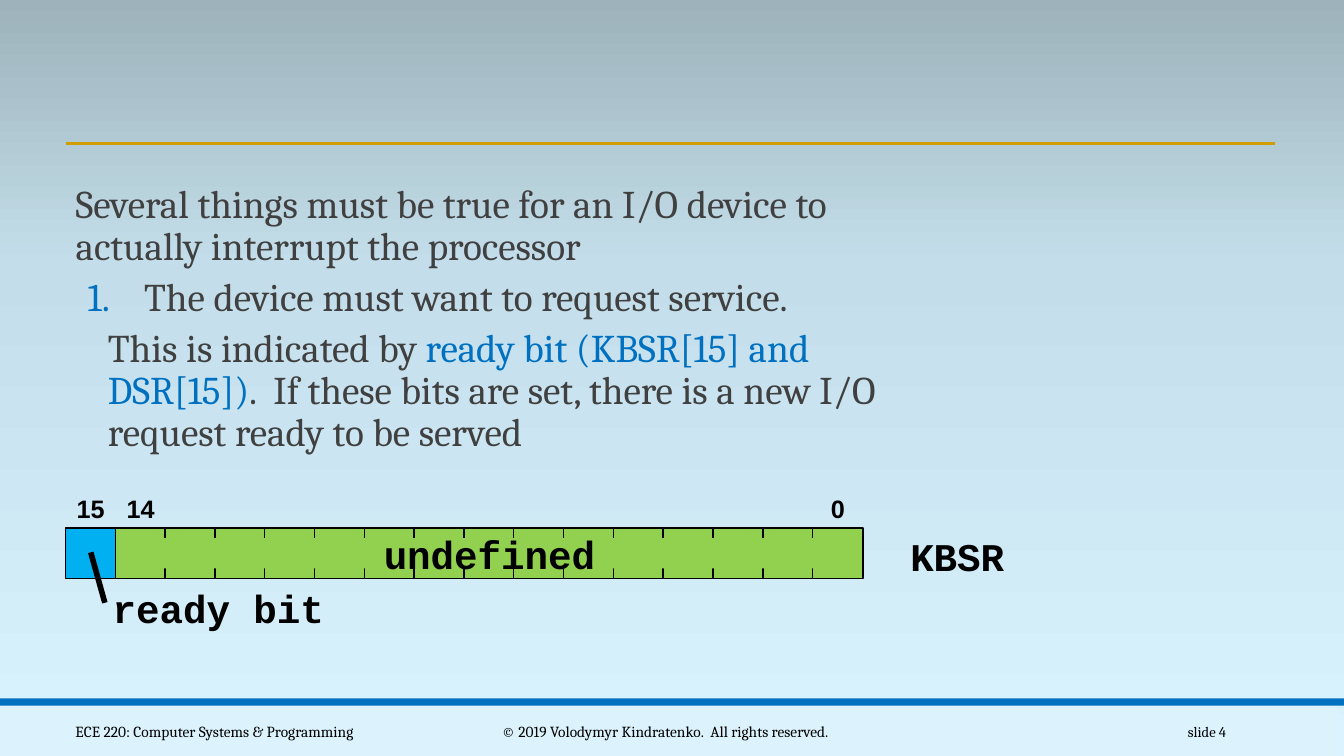
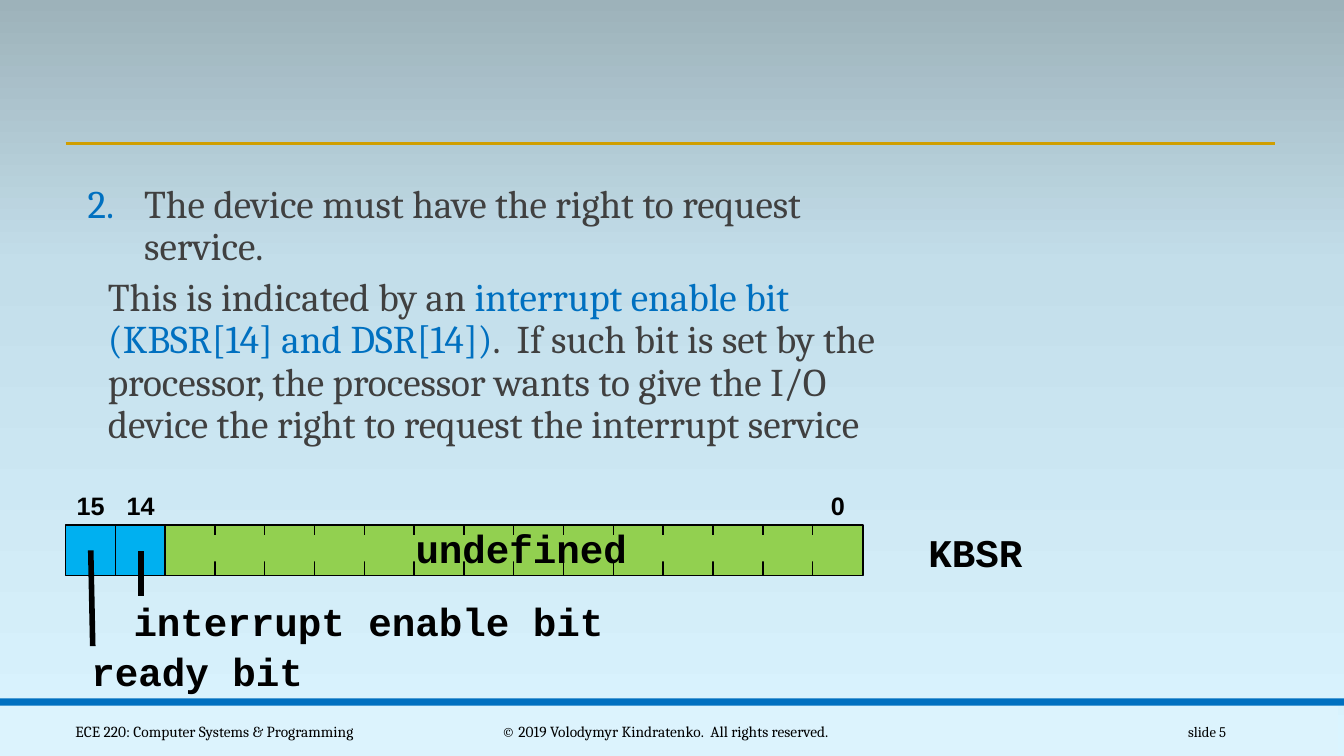
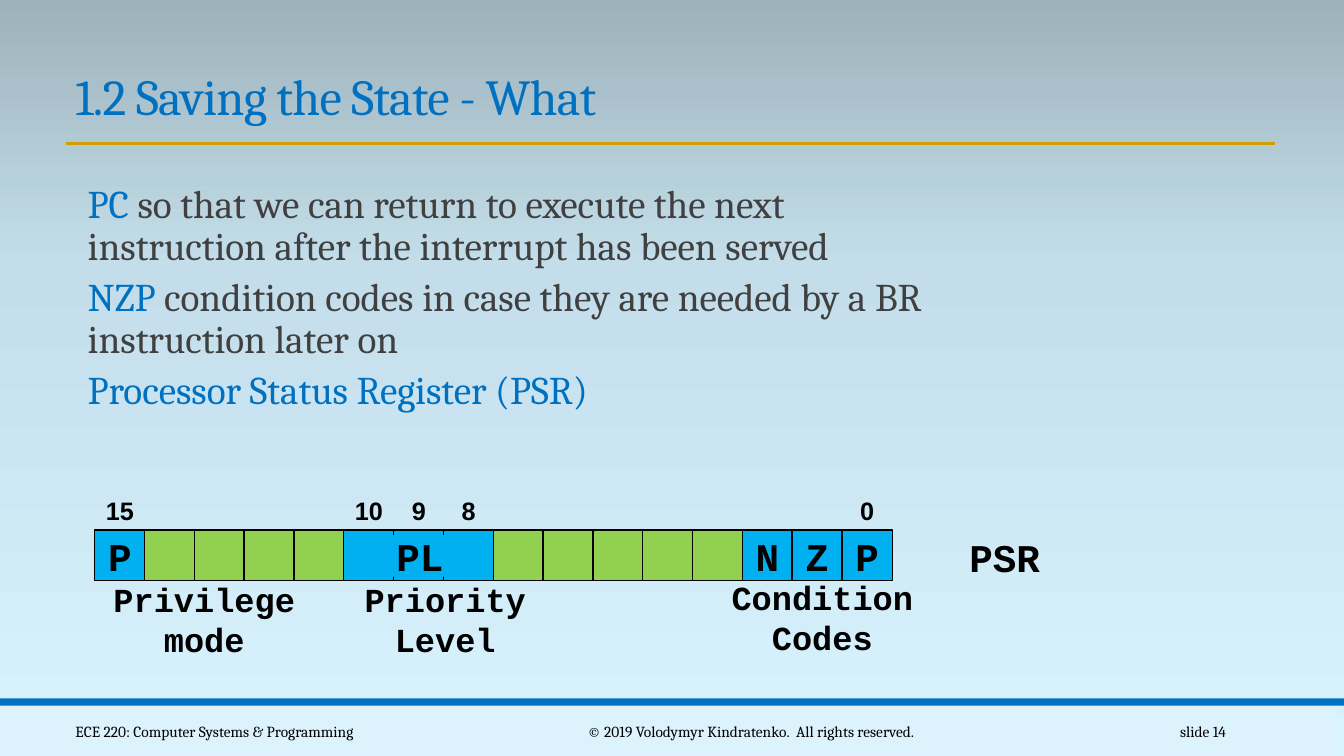
from copy import deepcopy

from lxml import etree
from pptx import Presentation
from pptx.dml.color import RGBColor
from pptx.enum import shapes, text
from pptx.oxml.ns import qn
from pptx.util import Inches, Pt

HUES = {
    "blue": "0070C0", "gold": "D09E00", "band": "DCF3FD", "grey": "404040",
    "black": "000000", "green": "92D050", "cyan": "00B0F0",
    "low": "DAF4FF", "mid": "C3DEEA", "high": "9DB2BA",
}
SERIF, SANS, MONO = "Cambria", "Arial", "Courier New"
LEFT, MID, RIGHT = text.PP_ALIGN.LEFT, text.PP_ALIGN.CENTER, text.PP_ALIGN.RIGHT
TOP, CENTRE, BASE = (text.MSO_ANCHOR.TOP, text.MSO_ANCHOR.MIDDLE,
                     text.MSO_ANCHOR.BOTTOM)
CELL = 0.5
PITCH = 7.41 / 15


def hue(name):
    return RGBColor.from_string(HUES[name])


def style(run, size, font, colour="black", bold=False):
    run.font.size = Pt(size)
    run.font.name = font
    run.font.bold = bold
    run.font.color.rgb = hue(colour)


def inset(frame, side, end):
    frame.margin_left = frame.margin_right = Inches(side)
    frame.margin_top = frame.margin_bottom = Inches(end)


def write(frame, words, size, font, colour="black", bold=False, align=MID,
          anchor=CENTRE, side=0, end=0):
    """Put one styled paragraph in a frame and return it."""
    frame.word_wrap = True
    frame.vertical_anchor = anchor
    inset(frame, side, end)
    frame.text = words
    para = frame.paragraphs[0]
    para.alignment = align
    style(para.runs[0], size, font, colour, bold)
    return para


def frame_at(slide, box):
    return slide.shapes.add_textbox(*map(Inches, box)).text_frame


def rect(slide, box, fill, edge=False):
    shape = slide.shapes.add_shape(shapes.MSO_SHAPE.RECTANGLE,
                                   *map(Inches, box))
    shape.shadow.inherit = False
    shape.fill.solid()
    shape.fill.fore_color.rgb = hue(fill)
    if edge:
        shape.line.color.rgb = hue("black")
        shape.line.width = Pt(1)
    else:
        shape.line.fill.background()
    return shape


def line(slide, ends, colour, width):
    link = slide.shapes.add_connector(shapes.MSO_CONNECTOR.STRAIGHT,
                                      *map(Inches, ends))
    link.line.color.rgb = hue(colour)
    link.line.width = Pt(width)
    etree.SubElement(link.element.spPr, qn("a:effectLst"))


def paint(master):
    """Give every slide the upward three-stop gradient."""
    fill = master.background.fill
    fill.gradient()
    fill.gradient_angle = 90
    stops = master.element.xpath(".//p:bg//a:gsLst")[0]
    stops.append(deepcopy(stops[-1]))
    tones = (("low", 0), ("mid", 0.65), ("high", 1))
    for stop, (tone, place) in zip(fill.gradient_stops, tones):
        stop.color.rgb = hue(tone)
        stop.position = place


def start(deck, number, align=MID, size=10.5):
    """Add a slide with its bands, rule and footer."""
    slide = deck.slides.add_slide(deck.slide_layouts[6])
    rect(slide, (-0.06, 7, 13.33, 0.5), "band")
    rect(slide, (0, 6.93, 13.33, 0.07), "blue")
    line(slide, (0.65, 1.42, 12.65, 1.42), "gold", 2)
    feet = (
        (0.65, 3.25, "ECE 220: Computer Systems & Programming", 11, LEFT),
        (4.03, 5.14, "© 2019 Volodymyr Kindratenko.  All rights reserved.",
         11, align),
        (10.83, 1.43, f"slide {number}", size, RIGHT),
    )
    for left, width, words, points, side in feet:
        write(frame_at(slide, (left, 7.06, width, 0.4)), words, points, SERIF,
              align=side, side=0.1, end=0.05)
    return slide


def title(slide, words):
    para = write(frame_at(slide, (0.65, 0.59, 12.01, 0.71)), words, 36, SERIF,
                 "blue", align=LEFT, anchor=BASE, side=0.1, end=0.05)
    para.line_spacing = 0.85
    para.runs[0].font._element.set("spc", "-50")


def count(props, first):
    """Number a paragraph in blue, beginning at first."""
    tint = etree.SubElement(props, qn("a:buClr"))
    etree.SubElement(tint, qn("a:srgbClr")).set("val", HUES["blue"])
    mark = etree.SubElement(props, qn("a:buAutoNum"))
    mark.set("type", "arabicPeriod")
    mark.set("startAt", str(first))


def body(slide, rows):
    """Rows are (indent, number or None, runs); odd runs are blue."""
    frame = frame_at(slide, (0.65, 1.78, 8.52, 4.64))
    frame.word_wrap = True
    inset(frame, 0, 0.05)
    for i, (indent, first, parts) in enumerate(rows):
        para = frame.add_paragraph() if i else frame.paragraphs[0]
        para.line_spacing = 0.9
        para.space_before, para.space_after = Pt(2), Pt(4)
        props = para._p.get_or_add_pPr()
        props.set("marL", str(Inches(indent)))
        if first:
            props.set("indent", str(Inches(-0.56)))
            count(props, first)
        for j, words in enumerate(parts):
            if words:
                run = para.add_run()
                run.text = words
                style(run, 28, SERIF, "blue" if j % 2 else "grey")


def code(slide, box, words, size=28):
    write(frame_at(slide, box), words, size, MONO, bold=True)


def patch(slide, box, fill, words):
    """A borderless field name laid over several cells."""
    write(rect(slide, box, fill).text_frame, words, 28, MONO, bold=True)


def bits(slide, left, top, used, tags, names=None):
    """Draw a 16-bit register with bit 15 at the left."""
    names = names or {}
    for bit in range(15, -1, -1):
        x = left + (15 - bit) * PITCH
        cell = rect(slide, (x, top, CELL, CELL),
                    "cyan" if bit in used else "green", True)
        if bit in names:
            write(cell.text_frame, names[bit], 28, MONO, bold=True)
        if bit in tags:
            write(frame_at(slide, (x, top - 0.35, CELL, 0.3)), str(bit), 18,
                  SANS, bold=True, anchor=TOP)


def ready(deck):
    slide = start(deck, 4)
    body(slide, [
        (0.1, None, ["Several things must be true for an I/O device to "
                     "actually interrupt the processor"]),
        (0.78, 1, ["The device must want to request service."]),
        (0.42, None, ["This is indicated by ",
                      "ready bit (KBSR[15] and DSR[15])",
                      ".  If these bits are set, there is a new I/O request "
                      "ready to be served"]),
    ])
    bits(slide, 0.65, 5.24, {15}, {15, 14, 0})
    patch(slide, (1.25, 5.34, 7.21, 0.3), "green", "undefined")
    code(slide, (8.78, 5.26, 1.43, 0.5), "KBSR")
    code(slide, (0.97, 5.78, 2.39, 0.5), "ready bit")
    line(slide, (0.9, 5.48, 1.04, 5.98), "black", 4)


def enable(deck):
    slide = start(deck, 5)
    body(slide, [
        (0.78, 2, ["The device must have the right to request service."]),
        (0.42, None, ["This is indicated by an ",
                      "interrupt enable bit (KBSR[14] and DSR[14])",
                      ".  If such bit is set by the processor, the processor "
                      "wants to give the I/O device the right to request the "
                      "interrupt service"]),
    ])
    bits(slide, 0.65, 5.21, {15, 14}, {15, 14, 0})
    patch(slide, (1.88, 5.31, 6.58, 0.26), "green", "undefined")
    code(slide, (8.96, 5.22, 1.43, 0.5), "KBSR")
    code(slide, (0.76, 6.41, 2.39, 0.5), "ready bit")
    line(slide, (0.9, 5.46, 0.92, 6.41), "black", 4)
    code(slide, (1.22, 5.91, 4.87, 0.5), "interrupt enable bit")
    line(slide, (1.4, 5.47, 1.4, 5.91), "black", 4)


def state(deck):
    slide = start(deck, 14, RIGHT, 11)
    title(slide, "1.2 Saving the State - What")
    body(slide, [
        (0.22, None, ["", "PC", " so that we can return to execute the next "
                      "instruction after the interrupt has been served"]),
        (0.22, None, ["", "NZP", " condition codes in case they are needed "
                      "by a BR instruction later on"]),
        (0.22, None, ["", "Processor Status Register (PSR)"]),
    ])
    bits(slide, 0.94, 5.26, {15, 10, 9, 8, 2, 1, 0}, {15, 10, 9, 8, 0},
         {15: "P", 2: "N", 1: "Z", 0: "P"})
    patch(slide, (3.58, 5.31, 1.17, 0.41), "cyan", "PL")
    code(slide, (9.25, 5.27, 1.43, 0.5), "PSR")
    for left, top, words in ((0.83, 5.76, "Privilege mode"),
                             (3.22, 5.76, "Priority Level"),
                             (6.96, 5.74, "Condition Codes")):
        code(slide, (left, top, 2.39, 0.76), words, 24)


def main():
    deck = Presentation()
    deck.slide_width, deck.slide_height = Inches(13.33), Inches(7.5)
    paint(deck.slide_master)
    ready(deck)
    enable(deck)
    state(deck)
    deck.save("out.pptx")


if __name__ == "__main__":
    main()
